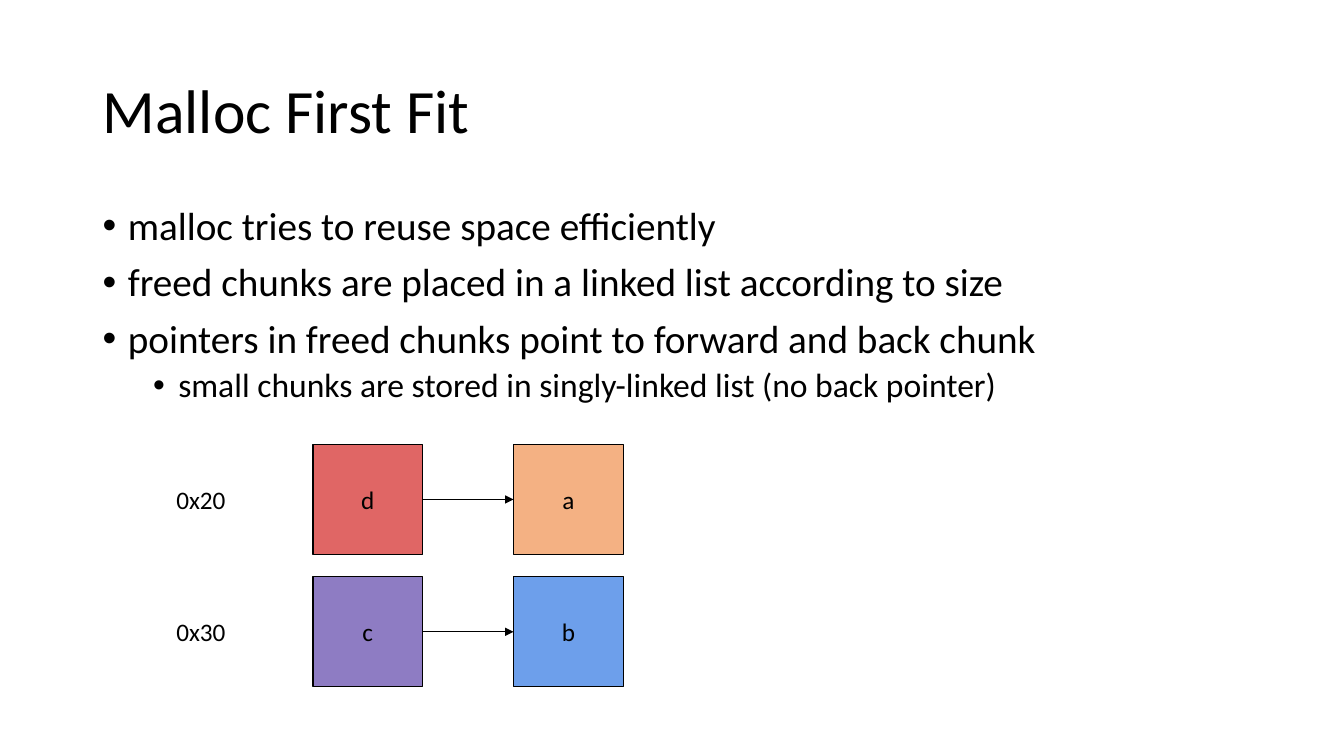
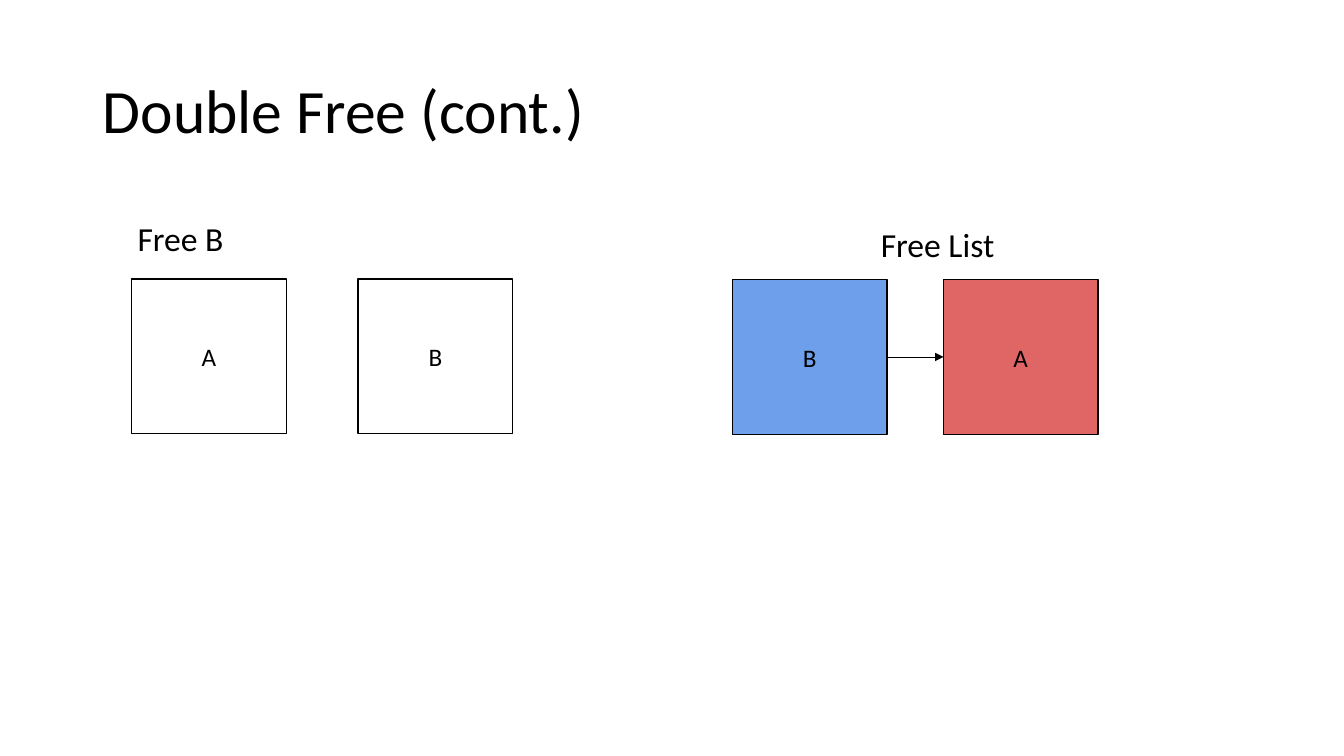
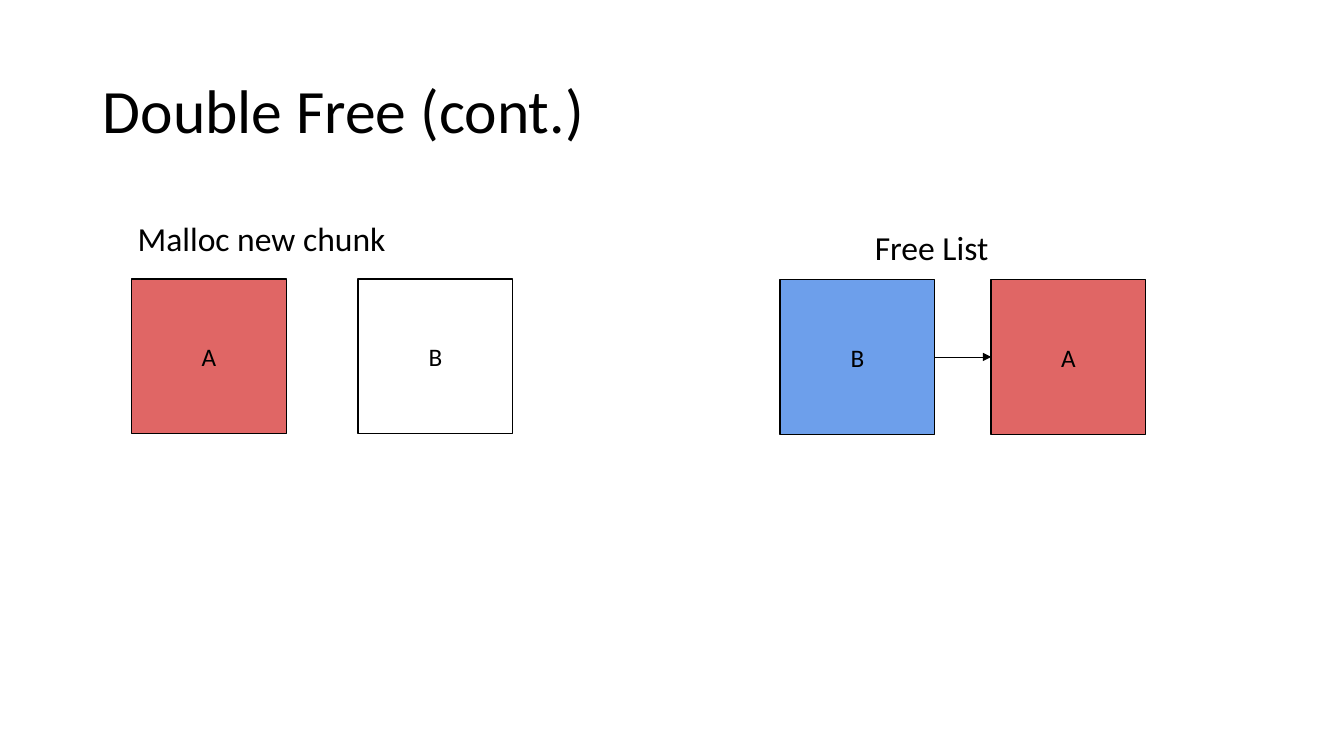
from dataclasses import dataclass

from lxml import etree
from pptx import Presentation
from pptx.dml.color import RGBColor
from pptx.enum.shapes import MSO_CONNECTOR, MSO_SHAPE
from pptx.enum.text import MSO_ANCHOR, PP_ALIGN
from pptx.oxml.ns import qn
from pptx.util import Inches, Pt

RECT = MSO_SHAPE.RECTANGLE
STRAIGHT = MSO_CONNECTOR.STRAIGHT
TOP, MIDDLE = MSO_ANCHOR.TOP, MSO_ANCHOR.MIDDLE
LEFT, CENTER = PP_ALIGN.LEFT, PP_ALIGN.CENTER
RIGHT_SITE, LEFT_SITE = 3, 1  # connection sites of a rectangle


@dataclass(frozen=True)
class Theme:
    font: str = "Calibri"
    ink: str = "000000"
    white: str = "FFFFFF"
    red: str = "E06665"
    orange: str = "F4B183"
    purple: str = "8E7CC3"
    blue: str = "6D9FEB"
    title: int = 44
    body: int = 28
    sub: int = 24
    label: int = 18
    edge: float = 1
    arrow: float = 0.5


THEME = Theme()
WIDTH, HEIGHT = Inches(13.333), Inches(7.5)

# Boxes are left, top, width, height in percent of the slide
TITLE = (6.9, 5.33, 86.25, 19.33)
BODY = (6.9, 26.67, 86.25, 63.47)


def across(share):
    return round(WIDTH * share / 100)


def down(share):
    return round(HEIGHT * share / 100)


def place(box):
    left, top, wide, high = box
    return across(left), down(top), across(wide), down(high)


def color(code):
    return RGBColor.from_string(code)


def write(para, text, size, **form):
    run = para.add_run()
    run.text = text
    for name, value in {"name": THEME.font, "size": Pt(size)}.items():
        setattr(run.font, name, value)
    run.font.color.rgb = color(THEME.ink)
    for name, value in form.items():
        setattr(para, name, value)


def text_box(slide, box, anchor=TOP):
    frame = slide.shapes.add_textbox(*place(box)).text_frame
    frame.word_wrap = True
    frame.vertical_anchor = anchor
    return frame


def bullet(para, level):
    props = para._p.get_or_add_pPr()
    indent = Inches(0.25)
    props.set("marL", str(indent + level * Inches(0.5)))
    props.set("indent", str(-indent))
    etree.SubElement(props, qn("a:buFont")).set("typeface", "Arial")
    etree.SubElement(props, qn("a:buChar")).set("char", "•")


def bullets(slide, box, items):
    frame = text_box(slide, box)
    for i, (level, text) in enumerate(items):
        para = frame.add_paragraph() if i else frame.paragraphs[0]
        size, gap = ((THEME.body, 10), (THEME.sub, 5))[level]
        write(para, text, size, level=level, line_spacing=0.9,
              space_before=Pt(gap))
        bullet(para, level)


def node(slide, spot, side, text, fill):
    shape = slide.shapes.add_shape(RECT, *spot, side, side)
    shape.shadow.inherit = False
    shape.fill.solid()
    shape.fill.fore_color.rgb = color(fill)
    shape.line.color.rgb = color(THEME.ink)
    shape.line.width = Pt(THEME.edge)
    shape.text_frame.vertical_anchor = MIDDLE
    write(shape.text_frame.paragraphs[0], text, THEME.label, alignment=CENTER)
    return shape


def arrow(slide, start, end):
    line = slide.shapes.add_connector(STRAIGHT, 0, 0, 0, 0)
    line.begin_connect(start, RIGHT_SITE)
    line.end_connect(end, LEFT_SITE)
    line.line.color.rgb = color(THEME.ink)
    line.line.width = Pt(THEME.arrow)
    etree.SubElement(line.line._get_or_add_ln(), qn("a:tailEnd")).set(
        "type", "triangle")
    etree.SubElement(line._element.spPr, qn("a:effectLst"))


def chain(slide, left, top, side, gap, nodes, linked=True):
    """Row of equal squares; side and gap are shares of the width."""
    shapes = [
        node(slide, (across(left + i * (side + gap)), down(top)),
             across(side), text, fill)
        for i, (text, fill) in enumerate(nodes)
    ]
    if linked:
        for start, end in zip(shapes, shapes[1:]):
            arrow(slide, start, end)


def bins(slide, left, top, rows):
    """Free lists by chunk size, each with its label in front."""
    side, pitch = 8.18, 17.5
    high = side * WIDTH / HEIGHT
    for i, (label, nodes) in enumerate(rows):
        y = top + i * pitch
        chain(slide, left + 10.9, y, side, 6.75, nodes)
        frame = text_box(slide, (left, y, 7.5, high), MIDDLE)
        write(frame.paragraphs[0], label, THEME.label, alignment=LEFT)


def panel(slide, left, top, head, shift, rise, gap, nodes, linked):
    """Heading above a row of chunks."""
    frame = text_box(slide, (left + shift, top - rise, 30, 6.67))
    write(frame.paragraphs[0], head, THEME.sub)
    chain(slide, left, top, 11.5, gap, nodes, linked)


def new_slide(deck, title):
    slide = deck.slides.add_slide(deck.slide_layouts[6])
    frame = text_box(slide, TITLE, MIDDLE)
    write(frame.paragraphs[0], title, THEME.title, line_spacing=0.9)
    return slide


def first_fit(deck):
    slide = new_slide(deck, "Malloc First Fit")
    bullets(slide, BODY, [
        (0, "malloc tries to reuse space efficiently"),
        (0, "freed chunks are placed in a linked list according to size"),
        (0, "pointers in freed chunks point to forward and back chunk"),
        (1, "small chunks are stored in singly-linked list (no back pointer)"),
    ])
    bins(slide, 12.38, 58.8, [
        ("0x20", [("d", THEME.red), ("a", THEME.orange)]),
        ("0x30", [("c", THEME.purple), ("b", THEME.blue)]),
    ])


def double_free(deck, step, fill, left, shift, rise):
    slide = new_slide(deck, "Double Free (cont.)")
    panel(slide, 9.8, 36.93, step, -0.3, 8.8, 5.35,
          [("A", fill), ("B", THEME.white)], False)
    panel(slide, left, 37, "Free List", shift, rise, 4.2,
          [("B", THEME.blue), ("A", THEME.red)], True)


def main():
    deck = Presentation()
    deck.slide_width, deck.slide_height = WIDTH, HEIGHT
    first_fit(deck)
    double_free(deck, "Free B", THEME.white, 54.5, 10.3, 8.07)
    double_free(deck, "Malloc new chunk", THEME.red, 58.05, 6.3, 7.67)
    deck.save("out.pptx")


if __name__ == "__main__":
    main()
